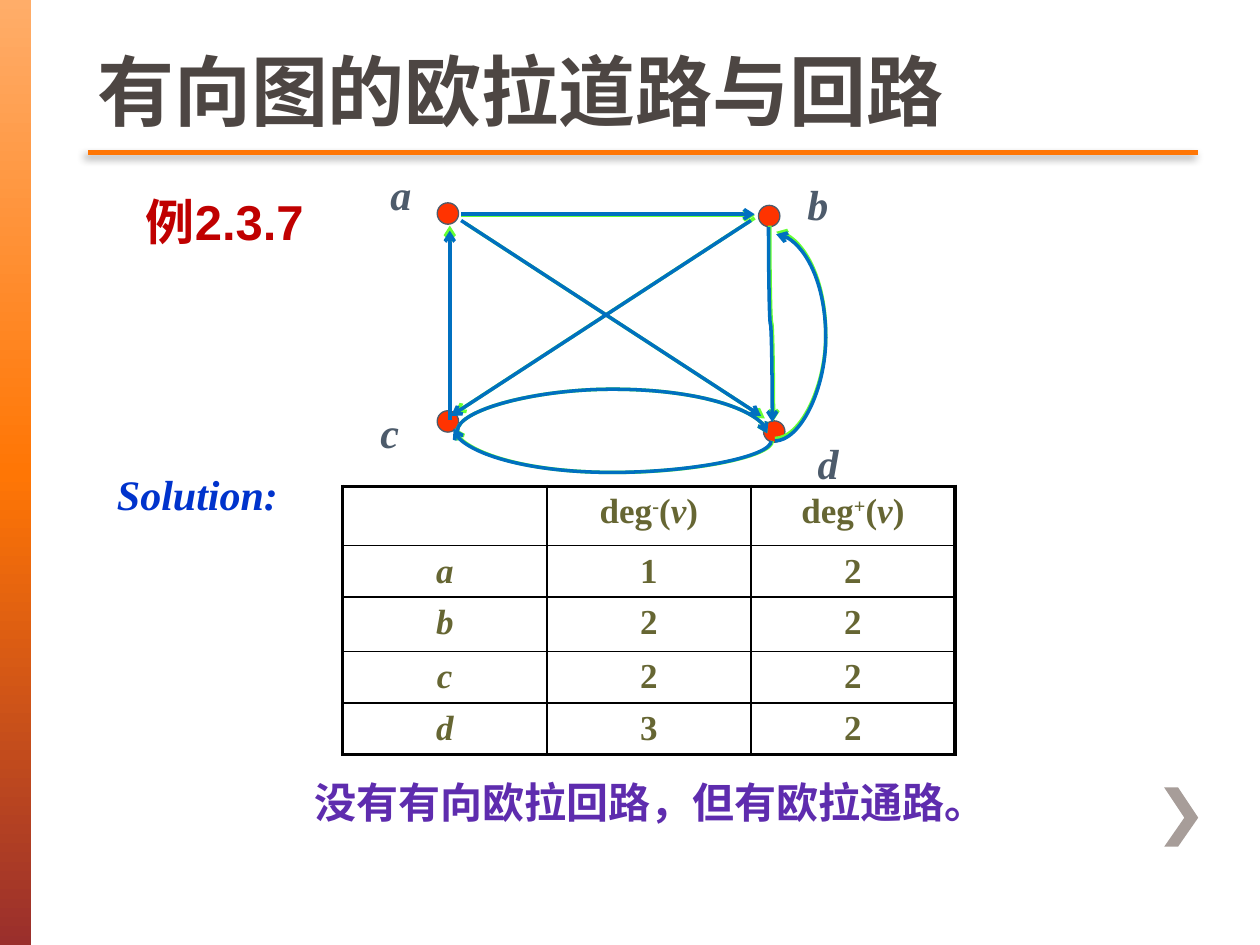
from copy import deepcopy
from dataclasses import dataclass

from lxml import etree
from pptx import Presentation
from pptx.dml.color import RGBColor
from pptx.enum import shapes, text
from pptx.oxml import ns
from pptx.util import Inches, Pt


@dataclass(frozen=True)
class Theme:
    sans: str = "Arial"
    serif: str = "Times New Roman"
    title: str = "4D4643"
    accent: str = "FF7605"
    chevron: str = "A79D99"
    label: str = "4D5B6B"
    node: str = "FF3300"
    edge: str = "0070C0"
    under_edge: str = "66FF33"
    cell: str = "666633"
    border: str = "000000"
    example: str = "C00000"
    solution: str = "0033CC"
    answer: str = "5E2CAE"
    title_size: int = 44
    example_size: int = 28
    body_size: int = 24
    cell_size: int = 20
    edge_width: float = 2
    inner_border: float = 1
    outer_border: float = 2.25


THEME = Theme()
TITLE = "有向图的欧拉道路与回路"
SIDEBAR = [(0, "FFAD69"), (0.5, "FF7605"), (1, "9A2F2C")]
CHEVRON = [(9.35, 6.25), (9.24, 6.25), (9.4, 6.49), (9.24, 6.72), (9.35, 6.72), (9.51, 6.49)]

# wording, place, size, colour, font, italic
NOTES = [
    ("Solution:", (0.83, 3.67, 8.35, 0.5), THEME.body_size, THEME.solution, THEME.serif, True),
    ("例2.3.7", (1.06, 1.47, 1.97, 0.57), THEME.example_size, THEME.example, THEME.sans, False),
    ("没有有向欧拉回路，但有欧拉通路。", (2.4, 6.11, 5.67, 0.5),
     THEME.body_size, THEME.answer, THEME.sans, False),
]

# vertex: label corner, node corner
VERTICES = {
    "a": ((3, 1.29), (3.47, 1.61)),
    "b": ((6.31, 1.37), (6.02, 1.63)),
    "c": ((2.92, 3.18), (3.47, 3.26)),
    "d": ((6.39, 3.42), (6.06, 3.34)),
}
NODE_SIZE = 0.17
LABEL_SIZE = (0.37, 0.33)

# start, end, arrow end, shift of the green line underneath
STRAIGHT_EDGES = [
    ((3.57, 1.83), (3.57, 3.33), "head", (0, -0.04)),
    ((5.99, 1.7), (3.66, 1.7), "head", (0, 0.01)),
    ((5.96, 1.75), (3.58, 3.3), "tail", (0.03, -0.02)),
    ((6.04, 3.3), (3.66, 1.75), "head", (0.03, 0.02)),
]
# unrotated frame, rotation, flip, bulge, arrow end, shift of the green line
CURVED_EDGES = [
    ((4.81, 2.19, 0.1, 2.52), 270, "flipH", 0.35, "head", (0.01, 0)),
    ((4.85, 2.2, 0.02, 2.46), 270, "flipH", -0.33, "tail", (0, 0)),
    ((6.15, 1.86, 0.01, 1.64), 0, "flipV", 0.41, "tail", (0, -0.02)),
    ((5.34, 2.56, 1.55, 0.03), 90, "flipH", 0.78, "head", (0.01, -0.01)),
]

TABLE_CORNER = (2.72, 3.86)
COLUMN_WIDTH = 1.62
ROW_HEIGHTS = [0.47, 0.41, 0.43, 0.41, 0.41]
DEGREE_SIGNS = ["-", "+"]
DEGREES = [("a", 1, 2), ("b", 2, 2), ("c", 2, 2), ("d", 3, 2)]


def rgb(colour):
    return RGBColor.from_string(colour)


def lengths(values):
    return [Inches(value) for value in values]


def child(parent, tag, **attributes):
    return etree.SubElement(parent, ns.qn(tag), attributes)


def style(para, size, colour, font, italic=False):
    para.font.size, para.font.name = Pt(size), font
    para.font.bold, para.font.italic = True, italic
    para.font.color.rgb = rgb(colour)


def add_text(container, wording, place, *look):
    box = container.add_textbox(*lengths(place))
    box.text_frame.word_wrap = True
    para = box.text_frame.paragraphs[0]
    para.text = wording
    style(para, *look)


def add_line(container, kind, start, end, colour, width):
    line = container.add_connector(kind, *lengths(start + end))
    line.line.color.rgb, line.line.width = rgb(colour), Pt(width)
    effects = child(line._element.spPr, "a:effectLst")
    return line, effects


def add_arrow(line, end):
    child(line.line._get_or_add_ln(), f"a:{end}End", type="arrow")


def add_straight_edges(container, colour, shifted):
    for start, end, arrow, shift in STRAIGHT_EDGES:
        ends = [tuple(p + s * shifted for p, s in zip(point, shift)) for point in (start, end)]
        line, _ = add_line(container, shapes.MSO_CONNECTOR.STRAIGHT, *ends, colour, THEME.edge_width)
        add_arrow(line, arrow)


def add_curved_edges(container, colour, shifted):
    for (x, y, width, height), turn, flip, bulge, arrow, (dx, dy) in CURVED_EDGES:
        x, y = x + dx * shifted, y + dy * shifted
        line, _ = add_line(container, shapes.MSO_CONNECTOR.CURVE, (x, y),
                           (x + width, y + height), colour, THEME.edge_width)
        frame = line._element.spPr.find(ns.qn("a:xfrm"))
        frame.set("rot", str(turn * 60000))
        frame.set(flip, "1")
        guides = line._element.spPr.find(ns.qn("a:prstGeom")).get_or_add_avLst()
        child(guides, "a:gd", name="adj1", fmla=f"val {round(bulge / width * 100000)}")
        add_arrow(line, arrow)


def add_decor(page):
    bar = page.shapes.add_shape(shapes.MSO_SHAPE.RECTANGLE, *lengths((0, 0, 0.25, 7.5)))
    bar.shadow.inherit = False
    bar.line.fill.background()
    bar.fill.gradient()
    bar.fill.gradient_angle = 270
    stops = bar._element.spPr.find(".//" + ns.qn("a:gsLst"))
    stops.append(deepcopy(stops[-1]))
    for stop, (position, colour) in zip(bar.fill.gradient_stops, SIDEBAR):
        stop.position, stop.color.rgb = position, rgb(colour)

    builder = page.shapes.build_freeform(*lengths(CHEVRON[0]), scale=1.0)
    builder.add_line_segments([lengths(point) for point in CHEVRON[1:]], close=True)
    chevron = builder.convert_to_shape()
    chevron.shadow.inherit = False
    chevron.fill.solid()
    chevron.fill.fore_color.rgb = rgb(THEME.chevron)
    chevron.line.fill.background()

    _, effects = add_line(page.shapes, shapes.MSO_CONNECTOR.STRAIGHT,
                          (0.7, 1.21), (9.51, 1.21), THEME.accent, 2.5)
    shadow = child(effects, "a:outerShdw", blurRad=str(Pt(5)), dist=str(Pt(3)),
                   dir=str(135 * 60000), algn="tr", rotWithShape="0")
    child(child(shadow, "a:srgbClr", val="000000"), "a:alpha", val="45000")


def set_borders(cell, outer_sides):
    for side in "LRTB":
        width = THEME.outer_border if side in outer_sides else THEME.inner_border
        line = child(cell._tc.get_or_add_tcPr(), f"a:ln{side}", w=str(Pt(width)))
        child(child(line, "a:solidFill"), "a:srgbClr", val=THEME.border)


def add_degree_table(page):
    heading = [[("deg", False), (sign, False), ("(", False), ("v", True), (")", False)]
               for sign in DEGREE_SIGNS]
    rows = [[[], *heading]]
    rows += [[[(name, True)], *([(str(n), False)] for n in degrees)] for name, *degrees in DEGREES]
    columns = len(rows[0])
    size = (COLUMN_WIDTH * columns, sum(ROW_HEIGHTS))
    table = page.shapes.add_table(len(rows), columns, *lengths(TABLE_CORNER + size)).table
    table.first_row = table.horz_banding = False
    for row, height in zip(table.rows, ROW_HEIGHTS):
        row.height = Inches(height)
    for r, row in enumerate(rows):
        for c, spans in enumerate(row):
            cell = table.cell(r, c)
            sides = {"L": c == 0, "R": c == columns - 1, "T": r == 0, "B": r == len(rows) - 1}
            set_borders(cell, [side for side, outer in sides.items() if outer])
            cell.fill.background()
            para = cell.text_frame.paragraphs[0]
            para.alignment = text.PP_ALIGN.CENTER
            style(para, THEME.cell_size, THEME.cell, THEME.serif)
            for wording, italic in spans:
                span = para.add_run()
                span.text, span.font.italic = wording, italic
                if wording in DEGREE_SIGNS:
                    span.font._element.set("baseline", "30000")


def add_graph(page):
    graph = page.shapes.add_group_shape().shapes
    add_straight_edges(graph, THEME.under_edge, shifted=True)
    for _, corner in VERTICES.values():
        node = graph.add_shape(shapes.MSO_SHAPE.FLOWCHART_CONNECTOR,
                               *lengths(corner + (NODE_SIZE, NODE_SIZE)))
        node.shadow.inherit = False
        node.fill.solid()
        node.fill.fore_color.rgb = rgb(THEME.node)
        node.line.color.rgb, node.line.width = rgb(THEME.label), Pt(0.75)
    add_curved_edges(graph, THEME.under_edge, shifted=True)
    for name, (corner, _) in VERTICES.items():
        add_text(graph, name, corner + LABEL_SIZE, THEME.body_size, THEME.label, THEME.serif, True)
    add_straight_edges(page.shapes, THEME.edge, shifted=False)
    add_curved_edges(page.shapes, THEME.edge, shifted=False)


def add_title(page):
    title = page.shapes.title
    title.left, title.top, title.width, title.height = lengths((0.67, 0, 8.81, 1.13))
    frame = title.text_frame
    frame.text = TITLE
    frame.auto_size = text.MSO_AUTO_SIZE.NONE
    frame.vertical_anchor = text.MSO_ANCHOR.BOTTOM
    frame.paragraphs[0].alignment = text.PP_ALIGN.LEFT
    style(frame.paragraphs[0], THEME.title_size, THEME.title, THEME.sans)


def main():
    deck = Presentation()
    deck.slide_width, deck.slide_height = lengths((10, 7.5))
    page = deck.slides.add_slide(deck.slide_layouts.get_by_name("Title Only"))
    add_decor(page)
    add_degree_table(page)
    for note in NOTES:
        add_text(page.shapes, *note)
    add_graph(page)
    add_title(page)
    deck.save("out.pptx")


if __name__ == "__main__":
    main()
